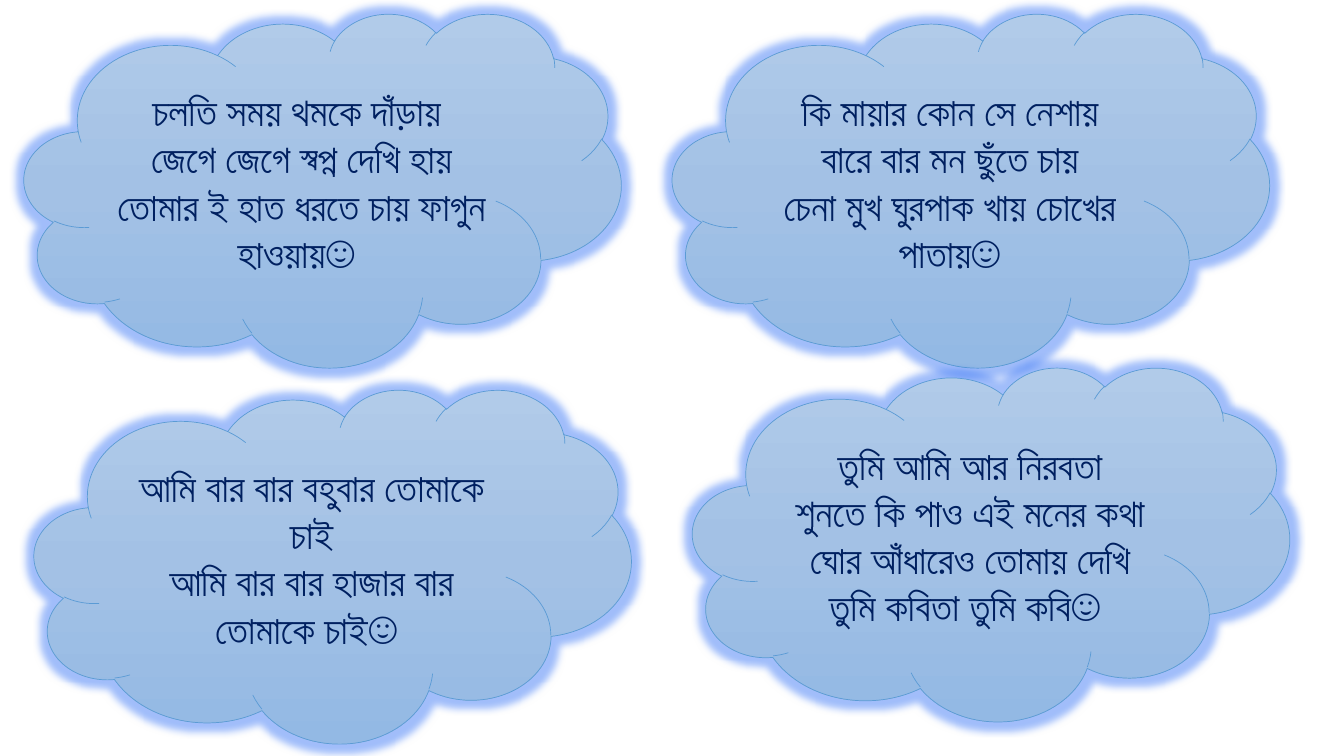
from lxml import etree
from pptx import Presentation
from pptx import util as u
from pptx.dml.color import RGBColor
from pptx.enum import shapes, text
from pptx.oxml.ns import qn

PX = 9144  # EMU in one px, 100 px to the inch
CLOUD_WIDTH, CLOUD_HEIGHT = 592, 351
GLOW_RADIUS = 15
FONT = "Calibri"
COLORS = {
    "sky_top": "B1CBE9",
    "sky_middle": "A3C1E5",
    "sky_bottom": "93B9E4",
    "outline": "5B9BD5",
    "glow": "145CF4",
    "verse": "002060",
}

# Left, top and verse lines of each cloud
CLOUDS = [
    (24, 13, ["চলতি সময় থমকে দাঁড়ায় ",
              "জেগে জেগে স্বপ্ন দেখি হায়",
              "তোমার ই হাত ধরতে চায় ফাগুন হাওয়ায়☺ "]),
    (667, 13, ["কি মায়ার কোন সে নেশায়",
               "বারে বার মন ছুঁতে চায়",
               "চেনা মুখ ঘুরপাক খায় চোখের পাতায়☺"]),
    (34, 386, ["আমি বার বার বহুবার তোমাকে চাই",
               "আমি বার বার হাজার বার তোমাকে চাই☺ "]),
    (687, 364, ["তুমি আমি আর নিরবতা",
                "শুনতে কি পাও এই মনের কথা",
                "ঘোর আঁধারেও তোমায় দেখি",
                "তুমি কবিতা তুমি কবি☺ "]),
]


def px(length):
    return u.Emu(length * PX)


def color(name):
    return RGBColor.from_string(COLORS[name])


def add_color_element(parent, name):
    return etree.SubElement(parent, qn("a:srgbClr"), val=COLORS[name])


def fill_with_sky(shape):
    """Three-stop gradient running from top to bottom."""
    shape.fill.gradient()
    shape.fill.gradient_angle = 270
    for stop, name, position in zip(shape.fill.gradient_stops,
                                    ("sky_top", "sky_bottom"), (0, 1)):
        stop.color.rgb = color(name)
        stop.position = position
    stop_list = shape.element.spPr.find(".//" + qn("a:gsLst"))
    middle = etree.Element(qn("a:gs"), pos="50000")
    add_color_element(middle, "sky_middle")
    stop_list.insert(1, middle)


def add_glow(shape):
    shape.shadow.inherit = False
    effects = shape.element.spPr.find(qn("a:effectLst"))
    glow = etree.SubElement(effects, qn("a:glow"), rad=str(px(GLOW_RADIUS)))
    etree.SubElement(add_color_element(glow, "glow"), qn("a:alpha"), val="40000")


def write_verse(shape, lines):
    frame = shape.text_frame
    frame.word_wrap = True
    frame.vertical_anchor = text.MSO_ANCHOR.MIDDLE
    frame.text = "\n".join(lines)
    for paragraph in frame.paragraphs:
        paragraph.alignment = text.PP_ALIGN.CENTER
        paragraph.font.name = FONT
        paragraph.font.size = u.Pt(28)
        paragraph.font.color.rgb = color("verse")


def add_cloud(slide, left, top, lines):
    shape = slide.shapes.add_shape(
        shapes.MSO_SHAPE.CLOUD, px(left), px(top), px(CLOUD_WIDTH), px(CLOUD_HEIGHT))
    fill_with_sky(shape)
    shape.line.color.rgb = color("outline")
    shape.line.width = u.Pt(0.5)
    add_glow(shape)
    write_verse(shape, lines)


def main():
    presentation = Presentation()
    presentation.slide_width = px(1333)
    presentation.slide_height = px(750)
    slide = presentation.slides.add_slide(presentation.slide_layouts[6])

    # One cloud for each verse
    for left, top, lines in CLOUDS:
        add_cloud(slide, left, top, lines)

    presentation.save("out.pptx")


if __name__ == "__main__":
    main()
